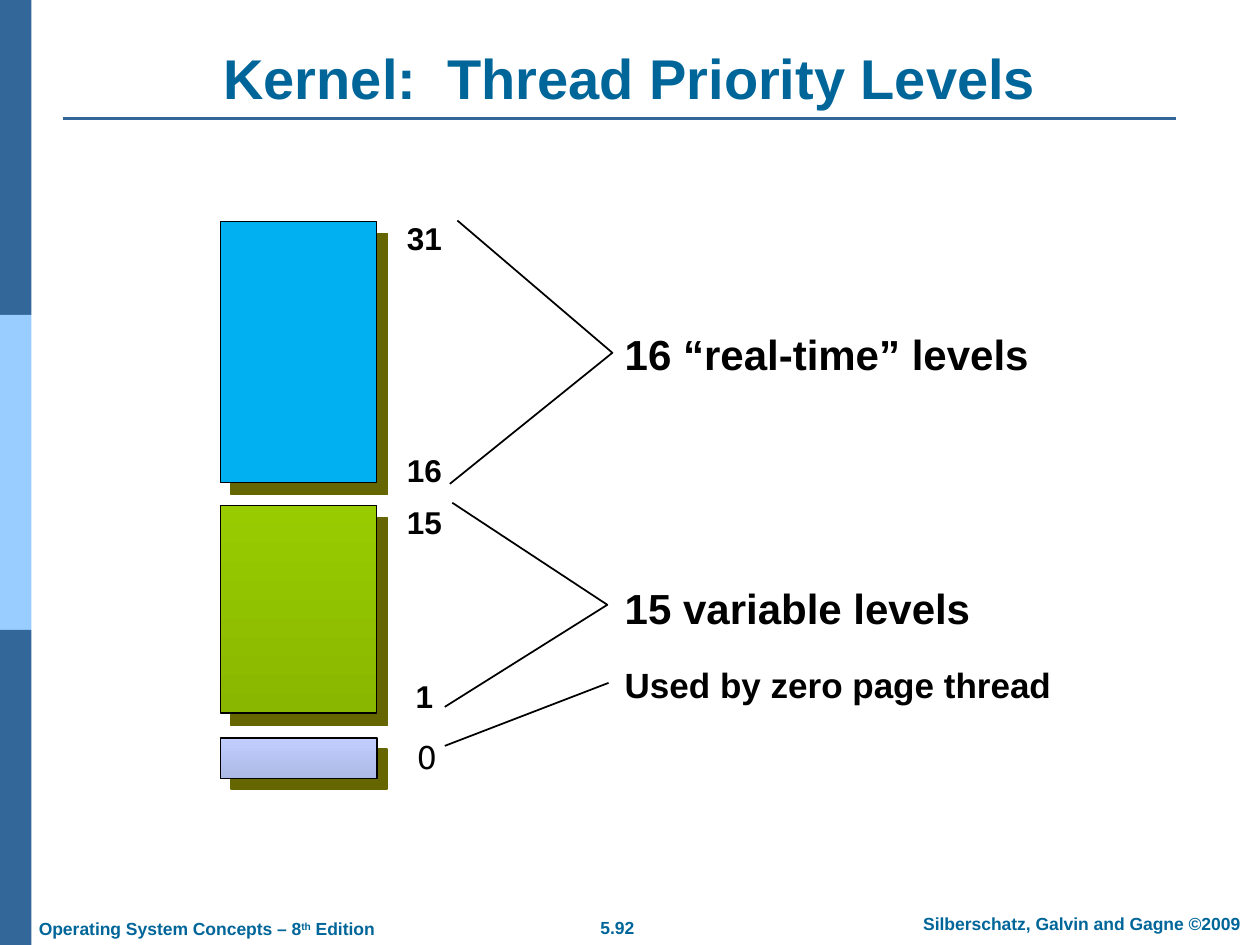
"""Build a slide showing the ranges of kernel thread priority levels."""
from typing import NamedTuple

from lxml import etree
from pptx import Presentation
from pptx import util as u
from pptx.dml.color import RGBColor
from pptx.enum import shapes, text
from pptx.oxml import ns

NAVY = RGBColor(0x33, 0x66, 0x99)
SKY = RGBColor(0x99, 0xCC, 0xFF)
TEAL = RGBColor(0x00, 0x66, 0x99)
BLACK = RGBColor(0, 0, 0)
OLIVE = RGBColor(0x66, 0x66, 0x00)
BLUE = RGBColor(0x00, 0xB0, 0xF0)
GREENS = (RGBColor(0x99, 0xCC, 0x00), RGBColor(0x89, 0xB7, 0x00))
LILACS = (RGBColor(0xC1, 0xCE, 0xFF), RGBColor(0xAD, 0xB9, 0xE5))
LEFT, CENTER = text.PP_ALIGN.LEFT, text.PP_ALIGN.CENTER
TOP, MIDDLE = text.MSO_ANCHOR.TOP, text.MSO_ANCHOR.MIDDLE


class Area(NamedTuple):
    left: float
    top: float
    width: float
    height: float

    def lengths(self) -> list:
        return [u.Inches(value) for value in self]


class Bar(NamedTuple):
    top: float
    height: float
    colors: tuple
    border: float
    shadow: float
    angle: int


class Label(NamedTuple):
    area: Area
    words: str
    size: float
    color: RGBColor = BLACK
    align: text.PP_ALIGN = LEFT
    anchor: text.MSO_ANCHOR = TOP
    bold: bool = True
    font: str = "Arial"


class Scale(NamedTuple):
    label: Label
    low: str
    gap: float
    indent: float


STRIPES = (NAVY, SKY, NAVY)
BARS = (
    Bar(1.76, 2.07, (BLUE,), 0.75, 9.2, 49),
    Bar(4.01, 1.65, GREENS, 0.75, 9.2, 49),
    Bar(5.86, 0.32, LILACS, 1, 8.5, 45),
)
BRACKETS = (
    ((3.63, 1.75), (4.86, 2.8), (3.57, 3.84)),
    ((3.59, 3.99), (4.82, 4.8), (3.53, 5.61)),
)
TITLE = Label(Area(0.5, 0.3, 9, 0.63), "Kernel:  Thread Priority Levels", 32, TEAL, CENTER, MIDDLE)
EDITION = Label(Area(0.21, 7.24, 3, 0.27), "Operating System Concepts – 8", 10, TEAL)
LABELS = (
    Label(Area(4.41, 7.23, 0.98, 0.27), "5.92", 10, TEAL, CENTER),
    Label(Area(7.1, 7.2, 2.97, 0.27), "Silberschatz, Galvin and Gagne ©2009", 10, TEAL, CENTER),
    Label(Area(4.86, 2.27, 3.92, 1.08), "16 “real-time” levels", 24, anchor=MIDDLE),
    Label(Area(4.86, 4.42, 3.92, 0.8), "15 variable levels", 24, anchor=MIDDLE),
    Label(Area(4.86, 5.22, 4.17, 0.43), "Used by zero page thread", 20, anchor=MIDDLE),
    Label(Area(3.21, 5.81, 0.46, 0.4), "0", 18, bold=False, font="DejaVu Sans"),
)
SCALES = (
    Scale(Label(Area(3.13, 1.69, 0.58, 2.23), "31", 18), "16", 111, 0),
    Scale(Label(Area(3.13, 3.94, 0.58, 1.77), "15", 18), "1", 78, 0.07),
)


def style_paragraph(para, label: Label) -> None:
    para.alignment = label.align
    font = para.font
    font.name, font.size, font.bold = label.font, u.Pt(label.size), label.bold
    font.color.rgb = label.color


def fill_label(box, label: Label):
    frame = box.text_frame
    frame.word_wrap = True
    frame.auto_size = text.MSO_AUTO_SIZE.NONE
    frame.vertical_anchor = label.anchor
    para = frame.paragraphs[0]
    para.add_run().text = label.words
    style_paragraph(para, label)
    return frame


def add_label(page, label: Label):
    return fill_label(page.shapes.add_textbox(*label.area.lengths()), label)


def add_scale(page, scale: Scale) -> None:
    frame = add_label(page, scale.label)
    para = frame.add_paragraph()
    para.text = scale.low
    para.space_before = u.Pt(scale.gap)
    para._p.get_or_add_pPr().set("marL", str(u.Inches(scale.indent)))
    style_paragraph(para, scale.label)


def add_rectangle(page, area: Area, colors: tuple):
    box = page.shapes.add_shape(shapes.MSO_SHAPE.RECTANGLE, *area.lengths())
    box.shadow.inherit = False
    if len(colors) == 1:
        box.fill.solid()
        box.fill.fore_color.rgb = colors[0]
    else:
        box.fill.gradient()
        box.fill.gradient_angle = 270
        for stop, color, position in zip(box.fill.gradient_stops, colors, (0, 1)):
            stop.color.rgb, stop.position = color, position
    box.line.fill.background()
    return box


def add_bar(page, bar: Bar) -> None:
    box = add_rectangle(page, Area(1.75, bar.top, 1.24, bar.height), bar.colors)
    box.line.color.rgb, box.line.width = BLACK, u.Pt(bar.border)
    effects = box._element.spPr.find(ns.qn("a:effectLst"))
    shadow = etree.SubElement(effects, ns.qn("a:outerShdw"), dist=str(u.Pt(bar.shadow)),
                              dir=str(bar.angle * 60000), algn="ctr", rotWithShape="0")
    etree.SubElement(shadow, ns.qn("a:srgbClr"), val=str(OLIVE))


def add_line(page, start: tuple, end: tuple, color: RGBColor, width: float) -> None:
    points = [u.Inches(value) for value in (*start, *end)]
    line = page.shapes.add_connector(shapes.MSO_CONNECTOR.STRAIGHT, *points)
    line.line.color.rgb, line.line.width = color, u.Pt(width)
    etree.SubElement(line._element.spPr, ns.qn("a:effectLst"))


def add_bracket(page, corners: tuple) -> None:
    start, *rest = [(u.Inches(x), u.Inches(y)) for x, y in corners]
    builder = page.shapes.build_freeform(*start)
    builder.add_line_segments(rest, close=False)
    bracket = builder.convert_to_shape()
    bracket.shadow.inherit = False
    bracket.fill.background()
    bracket.line.color.rgb, bracket.line.width = BLACK, u.Pt(1)


def add_edition(page) -> None:
    para = add_label(page, EDITION).paragraphs[0]
    ordinal = para.add_run()
    ordinal.text = "th"
    ordinal.font._element.set("baseline", "30000")
    para.add_run().text = " Edition"


def main() -> None:
    deck = Presentation()
    deck.slide_width, deck.slide_height = u.Inches(10), u.Inches(7.5)
    page = deck.slides.add_slide(deck.slide_layouts[5])
    title = page.shapes.title
    title.left, title.top, title.width, title.height = TITLE.area.lengths()
    fill_label(title, TITLE)
    for row, color in enumerate(STRIPES):
        add_rectangle(page, Area(0, row * 2.5, 0.25, 2.5), (color,))
    add_line(page, (0.5, 0.94), (9.33, 0.94), NAVY, 1.5)
    add_edition(page)
    for bar in BARS:
        add_bar(page, bar)
    for label in LABELS:
        add_label(page, label)
    add_line(page, (3.53, 5.92), (4.83, 5.42), BLACK, 1)
    for corners in BRACKETS:
        add_bracket(page, corners)
    for scale in SCALES:
        add_scale(page, scale)
    deck.save("out.pptx")


if __name__ == "__main__":
    main()
